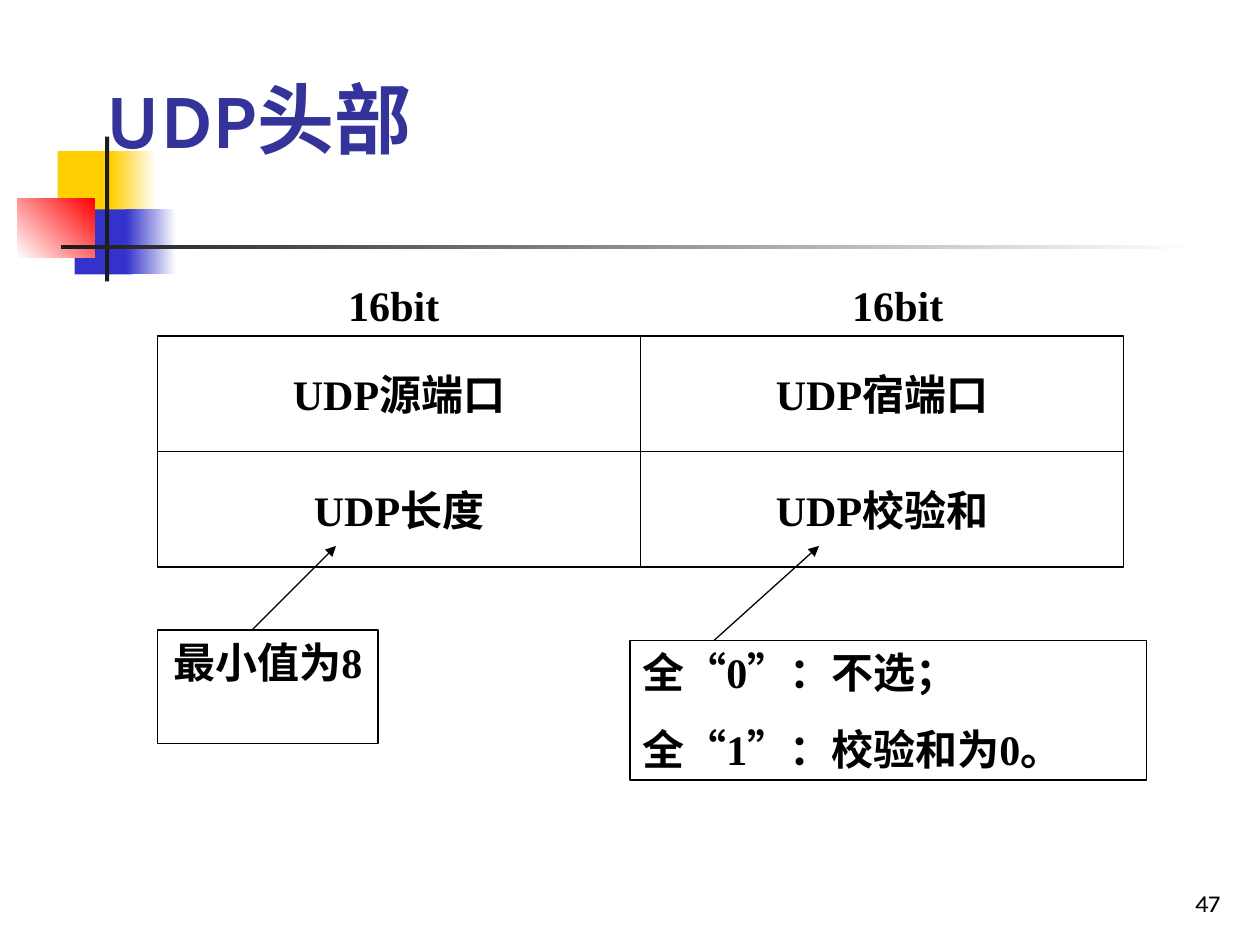
from dataclasses import dataclass
from typing import Optional

from lxml import etree
from pptx import Presentation
from pptx import util as u
from pptx.dml.color import RGBColor
from pptx.enum import lang, shapes, text
from pptx.oxml.ns import qn

COLUMNS, ROWS = 120, 90
prs = Presentation()
prs.slide_width, prs.slide_height = u.Inches(10), u.Inches(7.5)


@dataclass(frozen=True)
class Theme:
    ink: str = "000000"
    title: str = "333399"
    yellow: str = "FFCF01"
    blue: str = "3333CC"
    red: str = "FF0000"
    bar: str = "1C1C1C"
    white: str = "FFFFFF"
    heading_font: str = "Karla"
    body_font: str = "Times New Roman"
    title_size: float = 44
    body_size: float = 24
    number_size: float = 14
    line_width: float = 0.75


@dataclass(frozen=True)
class Area:
    col: float
    row: float
    cols: float
    rows: float


@dataclass(frozen=True)
class Block:
    area: Area
    start: str
    end: Optional[str] = None
    angle: float = 0


@dataclass(frozen=True)
class Style:
    font: str
    size: float
    color: str
    bold: bool = True
    align: text.PP_ALIGN = text.PP_ALIGN.CENTER
    anchor: text.MSO_ANCHOR = text.MSO_ANCHOR.TOP
    wrap: bool = True
    grow: bool = False
    gap: float = 0


@dataclass(frozen=True)
class Label:
    area: Area
    lines: tuple[str, ...]
    style: Style
    framed: bool = False


@dataclass(frozen=True)
class Arrow:
    start: tuple[float, float]
    end: tuple[float, float]


def x(col: float) -> int:
    return round(prs.slide_width * col / COLUMNS)


def y(row: float) -> int:
    return round(prs.slide_height * row / ROWS)


def place(a: Area) -> tuple[int, int, int, int]:
    return x(a.col), y(a.row), x(a.cols), y(a.rows)


def rgb(color: str) -> RGBColor:
    return RGBColor.from_string(color)


def add_rect(slide, area: Area):
    sp = slide.shapes.add_shape(shapes.MSO_SHAPE.RECTANGLE, *place(area))
    sp.shadow.inherit = False
    return sp


def draw_block(slide, block: Block) -> None:
    sp = add_rect(slide, block.area)
    sp.line.fill.background()
    if block.end is None:
        sp.fill.solid()
        sp.fill.fore_color.rgb = rgb(block.start)
        return
    sp.fill.gradient()
    sp.fill.gradient_angle = block.angle
    for stop, color in zip(sp.fill.gradient_stops, (block.start, block.end)):
        stop.color.rgb = rgb(color)


def draw_label(slide, label: Label, theme: Theme) -> None:
    style = label.style
    if label.framed:
        sp = add_rect(slide, label.area)
        sp.fill.background()
        sp.line.color.rgb = rgb(theme.ink)
        sp.line.width = u.Pt(theme.line_width)
    else:
        sp = slide.shapes.add_textbox(*place(label.area))
    tf = sp.text_frame
    tf.word_wrap = style.wrap
    tf.vertical_anchor = style.anchor
    if style.grow:
        tf.auto_size = text.MSO_AUTO_SIZE.SHAPE_TO_FIT_TEXT
    for i, line in enumerate(label.lines):
        p = tf.add_paragraph() if i else tf.paragraphs[0]
        p.alignment = style.align
        if i:
            p.space_before = u.Pt(style.gap)
        r = p.add_run()
        r.text = line
        r.font.name = style.font
        r.font.size = u.Pt(style.size)
        r.font.bold = style.bold
        r.font.color.rgb = rgb(style.color)
        r.font.language_id = lang.MSO_LANGUAGE_ID.SIMPLIFIED_CHINESE


def draw_arrow(slide, arrow: Arrow, theme: Theme) -> None:
    (c1, r1), (c2, r2) = arrow.start, arrow.end
    cn = slide.shapes.add_connector(
        shapes.MSO_CONNECTOR.STRAIGHT, x(c1), y(r1), x(c2), y(r2))
    cn.line.color.rgb = rgb(theme.ink)
    cn.line.width = u.Pt(theme.line_width)
    etree.SubElement(cn.line._get_or_add_ln(), qn("a:tailEnd"), type="triangle")
    etree.SubElement(cn._element.spPr, qn("a:effectLst"))


def main() -> None:
    t = Theme()
    slide = prs.slides.add_slide(prs.slide_layouts[6])
    left, right = text.PP_ALIGN.LEFT, text.PP_ALIGN.RIGHT
    middle, bottom = text.MSO_ANCHOR.MIDDLE, text.MSO_ANCHOR.BOTTOM
    body = (t.body_font, t.body_size, t.ink)
    title = Style(t.heading_font, t.title_size, t.title, align=left, anchor=bottom)
    number = Style(t.heading_font, t.number_size, t.ink, False, right, bottom)
    field = Style(*body, anchor=middle, wrap=False)
    caption = Style(*body, grow=True)
    remark = Style(*body, align=left, grow=True, gap=15)

    blocks = [
        Block(Area(5.5, 14.4, 5.8, 6.2), t.yellow),
        Block(Area(10.6, 14.4, 4.3, 6.2), t.yellow, t.white),
        Block(Area(7.1, 19.95, 5.5, 6.2), t.blue),
        Block(Area(12, 19.95, 4.8, 6.2), t.blue, t.white),
        Block(Area(1.65, 18.95, 7.4, 5.6), t.white, t.red, 45),
        Block(Area(10, 13, 0.4, 13.8), t.bar),
        Block(Area(5.8, 23.35, 108, 0.4), t.bar, t.white),
    ]
    for block in blocks:
        draw_block(slide, block)

    labels = [
        Label(Area(92.4, 82, 25, 6), ("47",), number),
        Label(Area(9, 8, 102.25, 8.2), ("UDP头部",), title),
    ]
    header = (("UDP源端口", "UDP宿端口"), ("UDP长度", "UDP校验和"))
    for i, names in enumerate(header):
        for j, name in enumerate(names):
            area = Area(15 + 46 * j, 32 + 11 * i, 46, 11)
            labels.append(Label(area, (name,), field, True))
    for col in (30, 78):
        labels.append(Label(Area(col, 26, 15, 6), ("16bit",), caption))
    labels += [
        Label(Area(15, 60, 21, 10.8), ("最小值为8",), caption, True),
        Label(Area(60, 61, 49.2, 13.3),
              ("全“0”：不选；", "全“1”：校验和为0。"), remark, True),
    ]
    for label in labels:
        draw_label(slide, label, t)

    for arrow in (Arrow((24, 60), (32, 52)), Arrow((68, 61), (78, 52))):
        draw_arrow(slide, arrow, t)

    prs.save("out.pptx")


if __name__ == "__main__":
    main()
